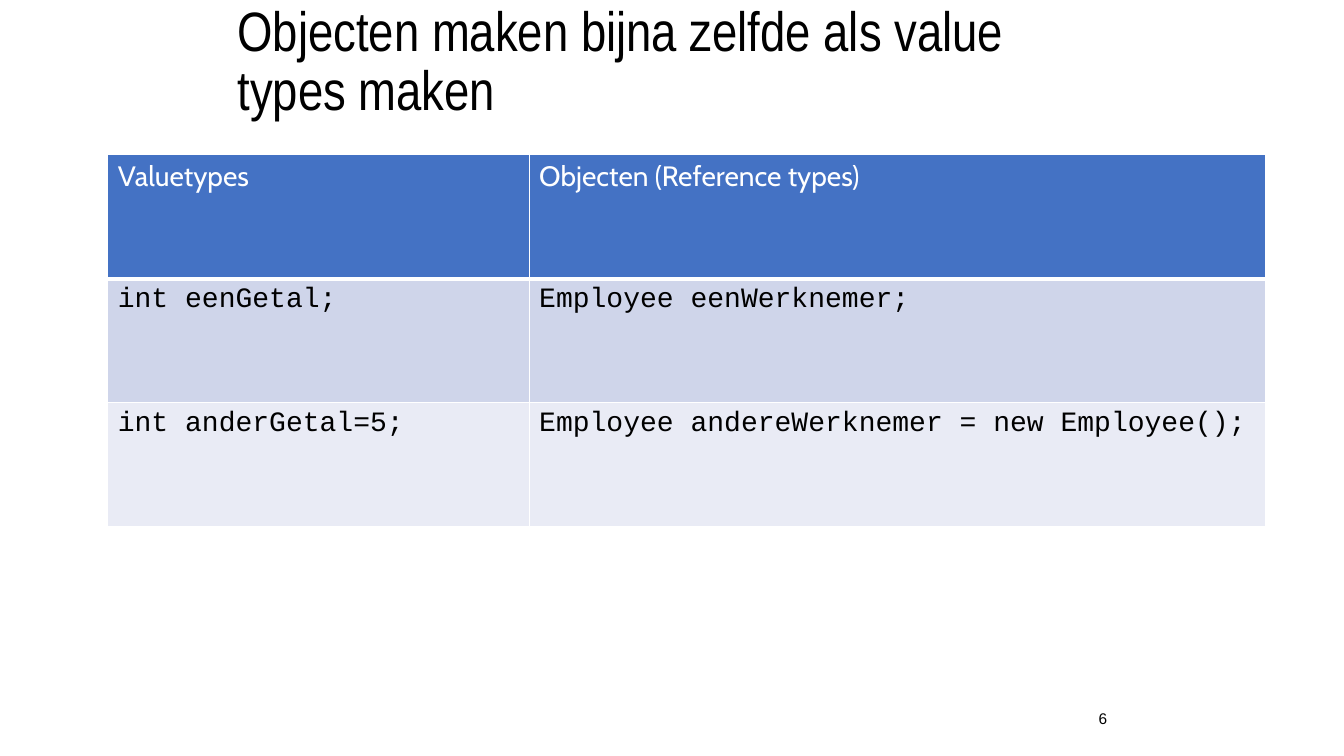
from lxml import etree
from pptx import Presentation
from pptx.dml.color import RGBColor
from pptx.enum.text import MSO_ANCHOR, PP_ALIGN
from pptx.oxml.ns import qn
from pptx.util import Pt

BLACK = RGBColor(0x00, 0x00, 0x00)
WHITE = RGBColor(0xFF, 0xFF, 0xFF)
HEADER_BLUE = RGBColor(0x44, 0x72, 0xC4)
BAND_DARK = RGBColor(0xCF, 0xD5, 0xEA)
BAND_LIGHT = RGBColor(0xE9, 0xEB, 0xF5)

LEFT, RIGHT = PP_ALIGN.LEFT, PP_ALIGN.RIGHT
MIDDLE = MSO_ANCHOR.MIDDLE

COLUMN_WIDTHS = [301, 526]
ROW_HEIGHT = 88.6
ROWS = [
    ("Valuetypes", "Objecten (Reference types)"),
    ("int eenGetal;", "Employee eenWerknemer;"),
    ("int anderGetal=5;", "Employee andereWerknemer = new Employee();"),
]
# Fill, font, font colour and bottom border width of each row
ROW_STYLES = [
    (HEADER_BLUE, "Cabin", WHITE, 3),
    (BAND_DARK, "Courier New", BLACK, 1),
    (BAND_LIGHT, "Courier New", BLACK, 1),
]


def write_text(text_frame, text, *, font, size, color=BLACK, align=LEFT, line_spacing=1.0):
    paragraph = text_frame.paragraphs[0]
    paragraph.alignment = align
    paragraph.line_spacing = line_spacing
    run = paragraph.add_run()
    run.text = text
    run.font.name = font
    run.font.size = Pt(size)
    run.font.color.rgb = color


def add_text_box(slide, text, left, top, width, height, **text_format):
    text_box = slide.shapes.add_textbox(Pt(left), Pt(top), Pt(width), Pt(height))
    text_frame = text_box.text_frame
    text_frame.word_wrap = True
    text_frame.vertical_anchor = MIDDLE
    write_text(text_frame, text, **text_format)


def add_cell_borders(cell, bottom_width):
    """Draw white borders; call before the fill, which must follow them in the XML."""
    properties = cell._tc.get_or_add_tcPr()
    for side, width in (("L", 1), ("R", 1), ("T", 1), ("B", bottom_width)):
        line = etree.SubElement(properties, qn(f"a:ln{side}"), w=str(Pt(width)))
        fill = etree.SubElement(line, qn("a:solidFill"))
        etree.SubElement(fill, qn("a:srgbClr"), val=str(WHITE))


def add_types_table(slide, left, top):
    table = slide.shapes.add_table(
        len(ROWS), len(COLUMN_WIDTHS), Pt(left), Pt(top),
        Pt(sum(COLUMN_WIDTHS)), Pt(ROW_HEIGHT * len(ROWS)),
    ).table
    for column, width in zip(table.columns, COLUMN_WIDTHS):
        column.width = Pt(width)
    for row, texts, style in zip(table.rows, ROWS, ROW_STYLES):
        fill_color, font, font_color, bottom_width = style
        row.height = Pt(ROW_HEIGHT)
        for cell, text in zip(row.cells, texts):
            add_cell_borders(cell, bottom_width)
            cell.fill.solid()
            cell.fill.fore_color.rgb = fill_color
            write_text(cell.text_frame, text, font=font, size=20, color=font_color)


def main():
    presentation = Presentation()
    presentation.slide_width = Pt(960)
    presentation.slide_height = Pt(540)
    slide = presentation.slides.add_slide(presentation.slide_layouts[6])

    add_text_box(slide, "Objecten maken bijna zelfde als value types maken",
                 162.5, 0, 636, 90, font="Arial Narrow", size=39.6, line_spacing=0.9)
    add_text_box(slide, "6", 636, 498, 162, 30, font="Arial", size=11, align=RIGHT)
    add_types_table(slide, 77, 110.5)

    presentation.save("out.pptx")


if __name__ == "__main__":
    main()
